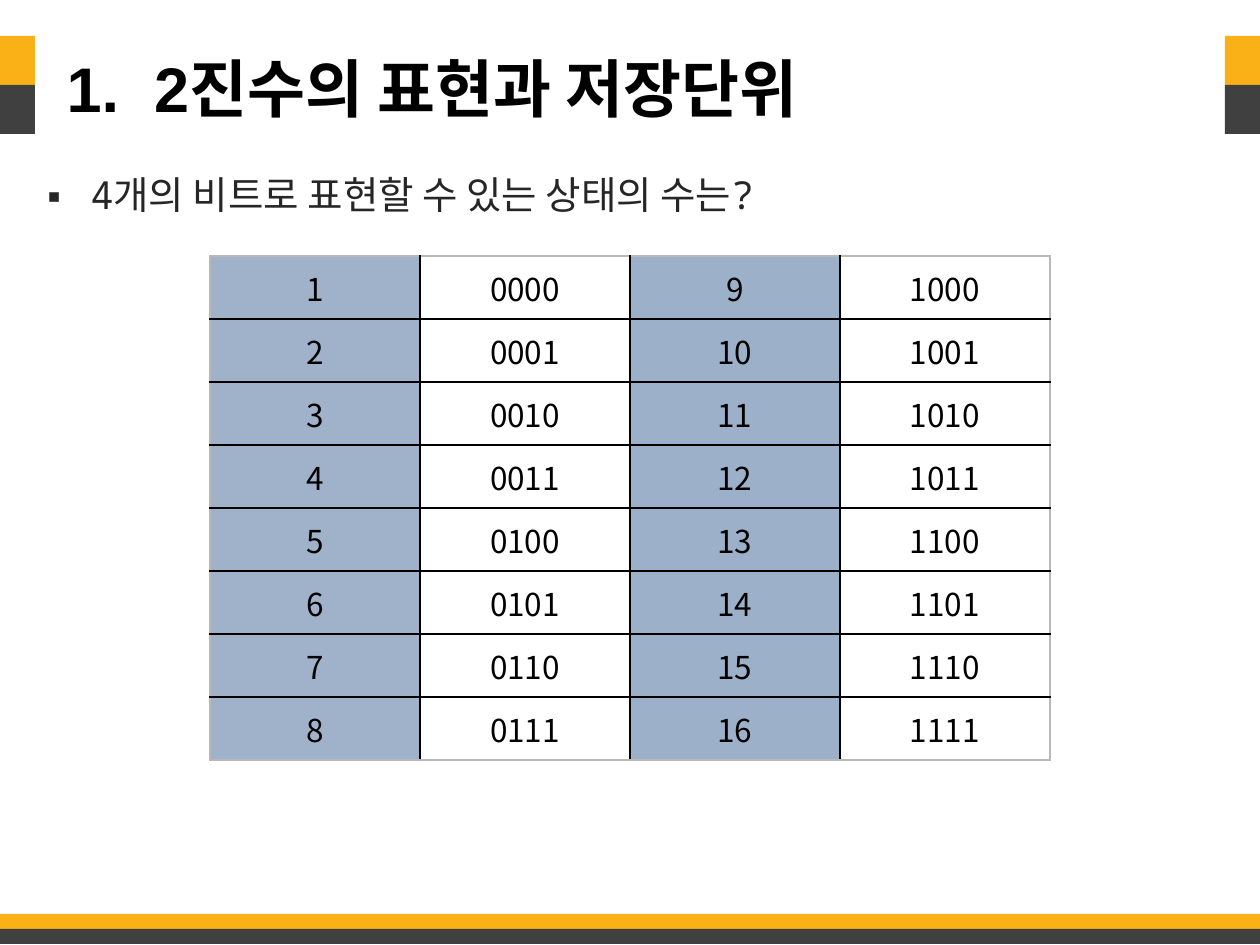
from lxml import etree
from pptx import Presentation
from pptx.dml.color import RGBColor
from pptx.enum.shapes import MSO_SHAPE
from pptx.enum.text import MSO_ANCHOR, MSO_AUTO_SIZE, PP_ALIGN
from pptx.oxml.ns import qn
from pptx.util import Emu, Pt

RECTANGLE = MSO_SHAPE.RECTANGLE
MIDDLE, TOP = MSO_ANCHOR.MIDDLE, MSO_ANCHOR.TOP
LEFT, CENTER = PP_ALIGN.LEFT, PP_ALIGN.CENTER
NO_AUTOFIT = MSO_AUTO_SIZE.NONE

TITLE = "1.  2진수의 표현과 저장단위"
QUESTION = "4개의 비트로 표현할 수 있는 상태의 수는?"
BITS = 4
STATES = [(str(n + 1), f"{n:0{BITS}b}") for n in range(2 ** BITS)]

YELLOW, CHARCOAL, BLACK, GREY = "FAB117", "404040", "000000", "B8B8B8"
NUMBER_BLUE, NUMBER_OPACITY = "376092", (48, 49)
KOREAN = "Noto Sans CJK KR"

SLIDE_W, SLIDE_H = 1260, 945
TAB_W, TAB_H, TAB_TOP = 35, 49, 36
STRIPE_H, STRIPE_TOP = 15, 914
BANDS = [
    (0, TAB_TOP, TAB_W, TAB_H),
    (SLIDE_W - TAB_W, TAB_TOP, TAB_W, TAB_H),
    (0, STRIPE_TOP, SLIDE_W, STRIPE_H),
]
TITLE_BOX = (54, 39, 1160, 96)
QUESTION_BOX = (30, 165, 1206, 684)
INDENT = 48
TABLE_LEFT, TABLE_TOP, COLUMN_W, ROW_H = 210, 256, 210, 63
ROWS, COLUMNS = 8, 4


def px(length):
    return Emu(length * 914400 // 126)


def color(value):
    return RGBColor.from_string(value)


def place(part, box):
    part.left, part.top, part.width, part.height = map(px, box)


def add_band(slide, box, fill):
    band = slide.shapes.add_shape(RECTANGLE, *map(px, box))
    band.shadow.inherit = False
    band.fill.solid()
    band.fill.fore_color.rgb = color(fill)
    band.line.fill.background()


def write(paragraph, wording, size, latin, ink, align, bold=False):
    paragraph.alignment = align
    run = paragraph.add_run()
    run.text = wording
    font = run.font
    font.size, font.name, font.bold = Pt(size), latin, bold
    font.color.rgb = color(ink)
    east_asian = etree.Element(qn("a:ea"), typeface=KOREAN)
    run._r.get_or_add_rPr().find(qn("a:latin")).addnext(east_asian)


def add_square_bullet(paragraph):
    settings = paragraph._p.get_or_add_pPr()
    settings.set("marL", str(px(INDENT)))
    settings.set("indent", str(-px(INDENT)))
    etree.SubElement(settings, qn("a:buFont"), typeface="Noto Sans Mono")
    etree.SubElement(settings, qn("a:buChar"), char="▪")


def set_borders(cell, row, column):
    """Grey on the outside of the table, black between cells."""
    outside = {"lnL": column == 0, "lnR": column == COLUMNS - 1,
               "lnT": row == 0, "lnB": row == ROWS - 1}
    settings = cell._tc.get_or_add_tcPr()
    for side, is_outside in outside.items():
        line = etree.SubElement(settings, qn(f"a:{side}"), w=str(Pt(1)))
        fill = etree.SubElement(line, qn("a:solidFill"))
        etree.SubElement(fill, qn("a:srgbClr"), val=GREY if is_outside else BLACK)


def fill_cell(cell, column):
    if column % 2:
        cell.fill.background()
        return
    cell.fill.solid()
    cell.fill.fore_color.rgb = color(NUMBER_BLUE)
    tint = cell._tc.tcPr.find(qn("a:solidFill")).find(qn("a:srgbClr"))
    opacity = NUMBER_OPACITY[column // 2]
    etree.SubElement(tint, qn("a:alpha"), val=str(opacity * 1000))


def add_state_table(slide):
    box = (TABLE_LEFT, TABLE_TOP, COLUMN_W * COLUMNS, ROW_H * ROWS)
    table = slide.shapes.add_table(ROWS, COLUMNS, *map(px, box)).table
    table.first_row = table.horz_banding = False
    for index, state in enumerate(STATES):
        block, row = divmod(index, ROWS)
        for offset, wording in enumerate(state):
            column = block * 2 + offset
            cell = table.cell(row, column)
            cell.vertical_anchor = MIDDLE
            write(cell.text_frame.paragraphs[0], wording, 18, KOREAN, BLACK, CENTER)
            set_borders(cell, row, column)
            fill_cell(cell, column)


def main():
    deck = Presentation()
    deck.slide_width, deck.slide_height = px(SLIDE_W), px(SLIDE_H)
    slide = deck.slides.add_slide(deck.slide_layouts[1])

    for left, top, width, height in BANDS:
        add_band(slide, (left, top, width, height), YELLOW)
        add_band(slide, (left, top + height, width, height), CHARCOAL)

    title, question = slide.placeholders
    for part, box, anchor in ((title, TITLE_BOX, MIDDLE), (question, QUESTION_BOX, TOP)):
        place(part, box)
        part.text_frame.auto_size = NO_AUTOFIT
        part.text_frame.vertical_anchor = anchor
    write(title.text_frame.paragraphs[0], TITLE, 36, "Arial", BLACK, LEFT, bold=True)
    bullet = question.text_frame.paragraphs[0]
    add_square_bullet(bullet)
    bullet.space_before = Pt(0)
    write(bullet, QUESTION, 22, "Noto Sans Mono", "262626", LEFT)

    add_state_table(slide)
    deck.save("out.pptx")


if __name__ == "__main__":
    main()
